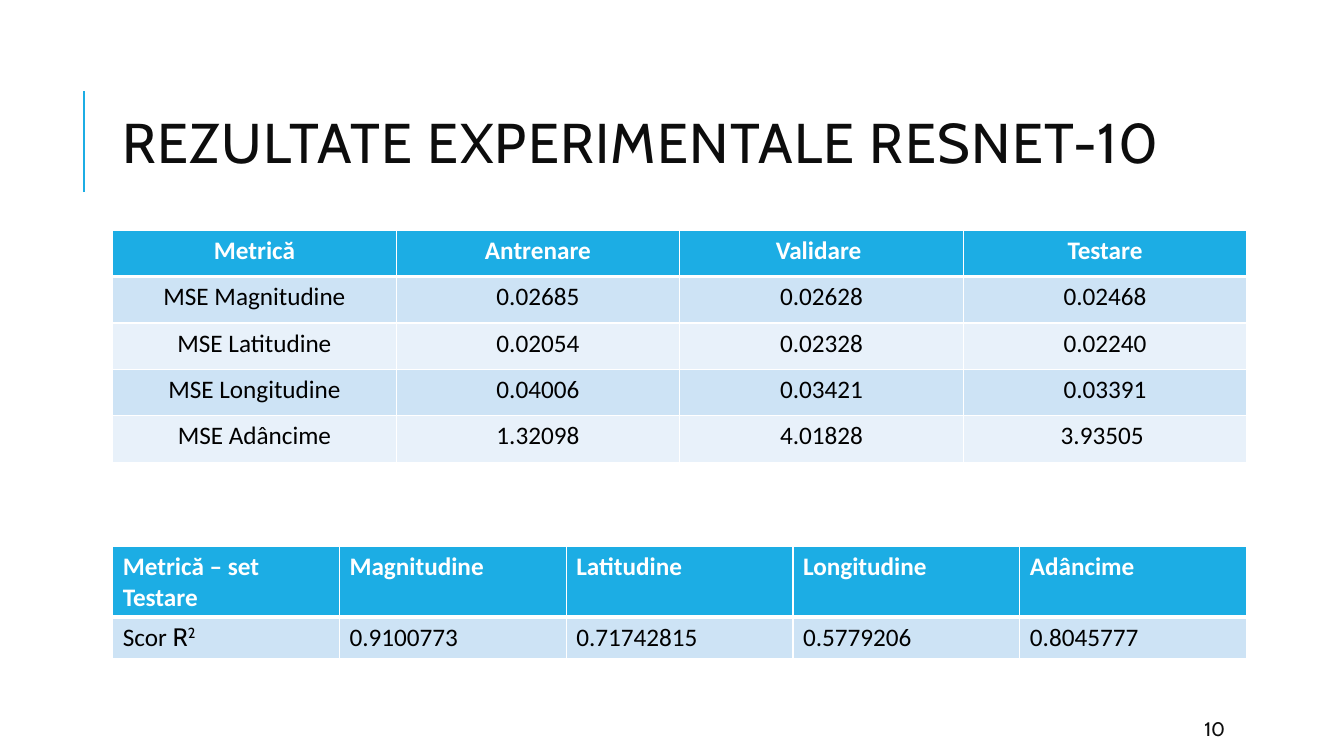
from lxml.etree import SubElement
from pptx import Presentation
from pptx.dml.color import RGBColor
from pptx.enum.shapes import MSO_CONNECTOR as Connector
from pptx.enum.text import MSO_ANCHOR as Anchor, PP_ALIGN as Align
from pptx.oxml.ns import qn
from pptx.util import Cm, Pt

COLORS = {
    "accent": "1CADE4",
    "band_dark": "CDE3F5",
    "band_light": "E8F1FA",
    "white": "FFFFFF",
    "black": "000000",
    "ink": "0D0D0D",
}
HEADING_FONT, BODY_FONT = "Cabin", "Calibri"
TABLE_LEFT, TABLE_WIDTH = 2.84, 28.58

ERRORS = [
    ["Metrică", "Antrenare", "Validare ", "Testare"],
    ["MSE Magnitudine", "0.02685", "0.02628", "0.02468"],
    ["MSE Latitudine", "0.02054", "0.02328", "0.02240"],
    ["MSE Longitudine", "0.04006", "0.03421", "0.03391"],
    ["MSE Adâncime", "1.32098", "4.01828", "3.93505 "],
]
SCORES = [
    ["Metrică – set Testare", "Magnitudine", "Latitudine", "Longitudine", "Adâncime"],
    ["Scor ", "0.9100773", "0.71742815", "0.5779206", "0.8045777"],
]


def color(name):
    return RGBColor.from_string(COLORS[name])


def add_run(paragraph, text, size, font, ink, bold=False):
    run = paragraph.add_run()
    run.text = text
    run.font.size = Pt(size)
    run.font.name = font
    run.font.bold = bold
    run.font.color.rgb = color(ink)
    return run


def add_label(slide, text, left, top, width, height, size):
    frame = slide.shapes.add_textbox(Cm(left), Cm(top), Cm(width), Cm(height)).text_frame
    frame.word_wrap = True
    frame.vertical_anchor = Anchor.MIDDLE
    paragraph = frame.paragraphs[0]
    return paragraph, add_run(paragraph, text, size, HEADING_FONT, "ink")


def add_rule(slide, x, top, bottom):
    rule = slide.shapes.add_connector(Connector.STRAIGHT, Cm(x), Cm(bottom), Cm(x), Cm(top))
    rule.line.color.rgb = color("accent")
    rule.line.width = Pt(1.5)
    SubElement(rule._element.spPr, qn("a:effectLst"))


def set_borders(cell, **widths):
    properties = cell._tc.get_or_add_tcPr()
    for side in ("lnL", "lnR", "lnT", "lnB"):
        border = SubElement(properties, qn(f"a:{side}"), w=str(Pt(widths.get(side, 1))))
        fill = SubElement(border, qn("a:solidFill"))
        SubElement(fill, qn("a:srgbClr"), val=COLORS["white"])


def add_table(slide, rows, top, row_heights, align):
    columns = len(rows[0])
    table = slide.shapes.add_table(
        len(rows), columns, Cm(TABLE_LEFT), Cm(top), Cm(TABLE_WIDTH), Cm(sum(row_heights))
    ).table
    for column in table.columns:
        column.width = Cm(TABLE_WIDTH / columns)
    for r, (values, height) in enumerate(zip(rows, row_heights)):
        table.rows[r].height = Cm(height)
        header = r == 0
        band = "accent" if header else "band_dark" if r % 2 else "band_light"
        for c, value in enumerate(values):
            cell = table.cell(r, c)
            # Thick line between the header and the first row
            set_borders(cell, lnT=3 if r == 1 else 1, lnB=3 if header else 1)
            cell.fill.solid()
            cell.fill.fore_color.rgb = color(band)
            paragraph = cell.text_frame.paragraphs[0]
            paragraph.alignment = align
            add_run(paragraph, value, 18, BODY_FONT, "white" if header else "black", header)
    return table


def main():
    deck = Presentation()
    deck.slide_width, deck.slide_height = Cm(33.87), Cm(19.05)
    slide = deck.slides.add_slide(deck.slide_layouts[6])

    # Title with its accent rule
    add_rule(slide, 2.12, 2.3, 4.84)
    title, heading = add_label(
        slide, "REZULTATE EXPERIMENTALE RESNET-10", 2.84, 1.63, 30.07, 4.17, 40
    )
    title.line_spacing = 0.8
    heading.font._element.set("spc", "100")

    # Errors by data set
    add_table(slide, ERRORS, 5.8, [1.17] * len(ERRORS), Align.CENTER)

    # Scores on the test set
    scores = add_table(slide, SCORES, 13.77, [1.78, 1.04], Align.LEFT)
    score_name = scores.cell(1, 0).text_frame.paragraphs[0]
    add_run(score_name, "R", 18, HEADING_FONT, "black")
    exponent = add_run(score_name, "2", 18, HEADING_FONT, "black")
    exponent.font._element.set("baseline", "30000")

    # Slide number
    add_label(slide, "10", 30.1, 17.98, 2.69, 0.76, 14)

    deck.save("out.pptx")


if __name__ == "__main__":
    main()
